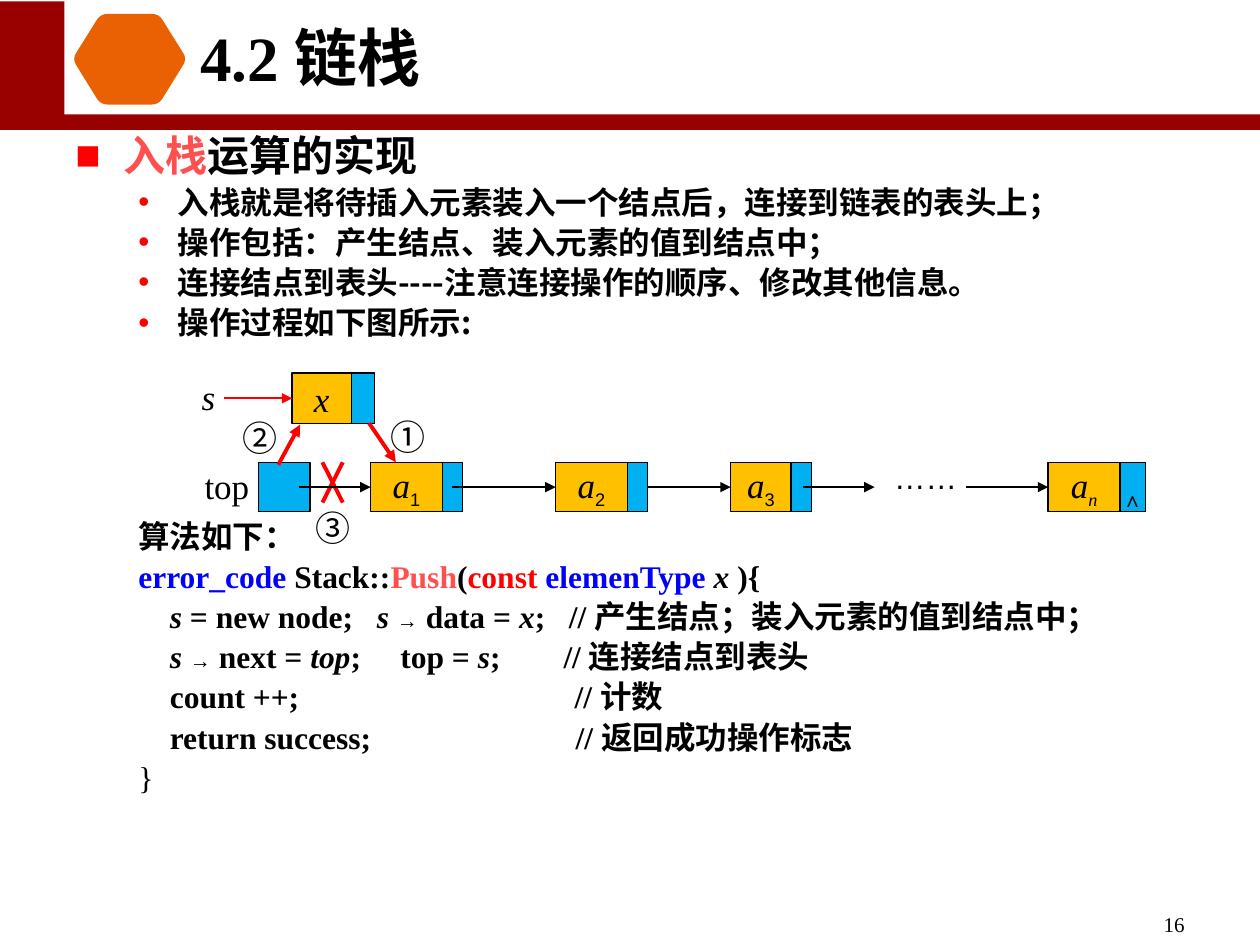
"""Build the slide on pushing onto a linked stack."""
import pptx
import pptx.util
import pptx.dml.color
import pptx.enum.shapes
import pptx.enum.text
import pptx.oxml
import pptx.oxml.ns
from lxml import etree

Cm, Pt = pptx.util.Cm, pptx.util.Pt
RGB = pptx.dml.color.RGBColor.from_string
qn = pptx.oxml.ns.qn
ALIGN = pptx.enum.text.PP_ALIGN
ANCHOR = pptx.enum.text.MSO_ANCHOR
RECT = pptx.enum.shapes.MSO_SHAPE.RECTANGLE
LINE = pptx.enum.shapes.MSO_CONNECTOR.STRAIGHT
SERIF, HAN, SANS = "Times New Roman", "Noto Sans CJK SC", "Arial"
HUES = {"ink": "000000", "white": "FFFFFF", "band": "990000", "hex": "EA6103",
        "data": "FFC000", "link": "00B0F0", "red": "FF0000",
        "rose": "FF5050", "blue": "0000FF"}

deck = pptx.Presentation()
deck.slide_width, deck.slide_height = Cm(25.4), Cm(19.05)
slide = deck.slides.add_slide(deck.slide_layouts[5])
shapes = slide.shapes


def write(par, parts, size, font):
    """Add runs given as (text, hue, flags): b bold, i italic, a arrow, s subscript."""
    for text, hue, flags in parts:
        run = par.add_run()
        run.text = text
        run.font.size = Pt(12 if "a" in flags else size)
        run.font.name = font
        run.font.bold = "b" in flags
        run.font.italic = "i" in flags
        run.font.color.rgb = RGB(HUES[hue])
        props = run.font._element
        etree.SubElement(props, qn("a:ea")).set("typeface", HAN)
        if "s" in flags:
            props.set("baseline", "-25000")


def box(left, top, width, height, hue=None, edge=True):
    """Add a filled rectangle, or a text box when no hue is given."""
    area = Cm(left), Cm(top), Cm(width), Cm(height)
    if hue is None:
        shape = shapes.add_textbox(*area)
    else:
        shape = shapes.add_shape(RECT, *area)
        shape.shadow.inherit = False
        shape.fill.solid()
        shape.fill.fore_color.rgb = RGB(HUES[hue])
        if edge:
            shape.line.color.rgb = RGB(HUES["ink"])
            shape.line.width = Pt(0.75)
        else:
            shape.line.fill.background()
        frame = shape.text_frame
        frame.margin_left = frame.margin_right = 0
        frame.margin_top = frame.margin_bottom = 0
    shape.text_frame.word_wrap = False
    shape.text_frame.vertical_anchor = ANCHOR.MIDDLE
    return shape


box(0, 0.03, 25.4, 2.59, "band", False)
box(1.3, 0, 24.1, 2.31, "white", False)

corners = [(1.46, 1.19), (2.03, 0.28), (3.2, 0.28),
           (3.77, 1.19), (3.2, 2.11), (2.03, 2.11)]
points = []
for n, here in enumerate(corners):
    prev, after = corners[n - 1], corners[(n + 1) % 6]
    for step in range(5):
        t = step / 4
        back, ahead = 0.13 * (1 - t) ** 2, 0.13 * t ** 2
        points.append([Cm(h + back * (p - h) + ahead * (a - h))
                       for h, p, a in zip(here, prev, after)])
build = shapes.build_freeform(*points[0])
build.add_line_segments(points[1:], close=True)
badge = build.convert_to_shape()
badge.shadow.inherit = False
badge.fill.solid()
badge.fill.fore_color.rgb = RGB(HUES["hex"])
badge.line.fill.background()

title = shapes.title
badge.element.addnext(title.element)
title.left, title.top, title.width, title.height = Cm(0), Cm(0.23), Cm(12.52), Cm(1.8)
title.text_frame.vertical_anchor = ANCHOR.MIDDLE
head = title.text_frame.paragraphs[0]
head.alignment = ALIGN.CENTER
write(head, [("4.2 ", "ink", "b")], 36, SERIF)
write(head, [("链栈", "ink", "b")], 36, HAN)

points = [
    [("入栈", "rose", "b"), ("运算的实现", "ink", "b")],
    [("入栈就是将待插入元素装入一个结点后，连接到链表的表头上；", "ink", "b")],
    [("操作包括：产生结点、装入元素的值到结点中；", "ink", "b")],
    [("连接结点到表头----注意连接操作的顺序、修改其他信息。", "ink", "b")],
    [("操作过程如下图所示:", "ink", "b")],
]
code = [
    [("算法如下：", "ink", "b")],
    [("error_code", "blue", "b"), (" Stack::", "ink", "b"), ("Push", "rose", "b"),
     ("(", "ink", "b"), ("const ", "red", "b"), ("elemenType ", "blue", "b"),
     ("x", "ink", "bi"), (" ){", "ink", "b")],
    [("    ", "ink", "b"), ("s ", "ink", "bi"), ("= new node;   ", "ink", "b"),
     ("s ", "ink", "bi"), ("→", "ink", "ba"), (" data = ", "ink", "b"),
     ("x", "ink", "bi"), (";   // 产生结点；装入元素的值到结点中；", "ink", "b")],
    [("    ", "ink", "b"), ("s ", "ink", "bi"), ("→", "ink", "ba"),
     (" next = ", "ink", "b"), ("top", "ink", "bi"), (";     top = ", "ink", "b"),
     ("s", "ink", "bi"), (";        // 连接结点到表头", "ink", "b")],
    [("    count ++;                                   // 计数", "ink", "b")],
    [("    return success;                          // 返回成功操作标志", "ink", "b")],
    [("}", "ink", "")],
]
for area, rows, font in (((1.27, 2.45, 22.86, 5), points, HAN),
                         ((2.54, 10.24, 21.59, 6), code, SERIF)):
    frame = box(*area).text_frame
    frame.word_wrap = True
    frame.vertical_anchor = ANCHOR.TOP
    for n, row in enumerate(rows):
        par = frame.paragraphs[0] if n == 0 else frame.add_paragraph()
        lead = rows is points and n == 0
        if rows is points:
            mark, left, hang = ("■", 0.97, 0.97) if lead else ("•", 2.06, 0.79)
            props = par._p.get_or_add_pPr()
            props.set("marL", str(Cm(left)))
            props.set("indent", str(-Cm(hang)))
            tint = etree.SubElement(props, qn("a:buClr"))
            etree.SubElement(tint, qn("a:srgbClr")).set("val", HUES["red"])
            etree.SubElement(props, qn("a:buFont")).set("typeface", SANS)
            etree.SubElement(props, qn("a:buChar")).set("char", mark)
        par.line_spacing = Pt(30 if lead else 23)
        write(par, row, 24 if lead else 18, font)

top = box(5.21, 9.32, 1.04, 1, "link")
nodes, links = [], []
for left, width, cell, sub, font, flags in (
        (7.47, 1.45, 0.41, "1", SANS, "s"), (11.2, 1.45, 0.41, "2", SANS, "s"),
        (14.73, 1.22, 0.41, "3", SANS, "s"), (21.13, 1.45, 0.51, "n", SERIF, "is")):
    node = box(left, 9.32, width, 1, "data")
    par = node.text_frame.paragraphs[0]
    par.alignment = ALIGN.CENTER
    write(par, [("a", "ink", "i")], 20, SERIF)
    write(par, [(sub, "ink", flags)], 18, font)
    nodes.append(node)
    links.append(box(left + width, 9.32, cell, 1, "link"))
end = links[-1].text_frame
end.vertical_anchor = ANCHOR.BOTTOM
end.paragraphs[0].alignment = ALIGN.CENTER
write(end.paragraphs[0], [("∧", "ink", "b")], 12, SERIF)

fresh = box(5.89, 7.52, 1.57, 1.02, "data")
fresh.text_frame.margin_right = Cm(0.38)
fresh.text_frame.paragraphs[0].alignment = ALIGN.CENTER
write(fresh.text_frame.paragraphs[0], [("x", "ink", "i")], 20, SERIF)
box(7.09, 7.52, 0.46, 1.02, "link")

for text, left, y, width, height, size, font, flags in (
        ("①", 7.52, 8.41, 1.4, 0.79, 20, HAN, ""),
        ("②", 4.55, 8.43, 1.4, 0.79, 20, HAN, ""),
        ("③", 6.02, 10.24, 1.4, 0.79, 20, HAN, ""),
        ("……", 17.63, 9.12, 2.06, 0.99, 18, SANS, ""),
        ("top", 3.75, 9.3, 1.65, 0.99, 20, SERIF, ""),
        ("s", 3.71, 7.72, 0.99, 0.53, 20, SERIF, "i"),
        ("16", 18.21, 18.31, 5.92, 0.64, 12, SERIF, "")):
    label = box(left, y, width, height).text_frame
    label.paragraphs[0].alignment = ALIGN.RIGHT if text == "16" else ALIGN.CENTER
    label.word_wrap = text == "16"
    write(label.paragraphs[0], [(text, "ink", flags)], size, font)

for x1, y1, x2, y2, hue, width, tip, start, stop in (
        (7.44, 8.53, 7.98, 9.32, "red", 2.25, True, None, None),
        (5.61, 9.37, 6.05, 8.56, "red", 2.25, True, None, None),
        (6.91, 9.32, 6.5, 10.13, "red", 2.25, False, None, None),
        (6.5, 9.32, 6.91, 10.13, "red", 2.25, False, None, None),
        (4.52, 8.03, 5.89, 8.03, "red", 1.25, True, None, fresh),
        (6.02, 9.82, 7.47, 9.82, "ink", 0.75, True, None, nodes[0]),
        (9.12, 9.82, 11.2, 9.82, "ink", 0.75, True, None, nodes[1]),
        (13.06, 9.82, 14.73, 9.82, "ink", 0.75, True, links[1], nodes[2]),
        (16.18, 9.82, 17.63, 9.82, "ink", 0.75, True, None, None),
        (19.48, 9.82, 21.13, 9.82, "ink", 0.75, True, None, nodes[3])):
    line = shapes.add_connector(LINE, Cm(x1), Cm(y1), Cm(x2), Cm(y2))
    line.line.color.rgb = RGB(HUES[hue])
    line.line.width = Pt(width)
    if tip:
        etree.SubElement(line.line._get_or_add_ln(), qn("a:tailEnd")).set("type", "triangle")
    etree.SubElement(line.element.spPr, qn("a:effectLst"))
    if start:
        line.begin_connect(start, 3)
    if stop:
        line.end_connect(stop, 1)

deck.save("out.pptx")
